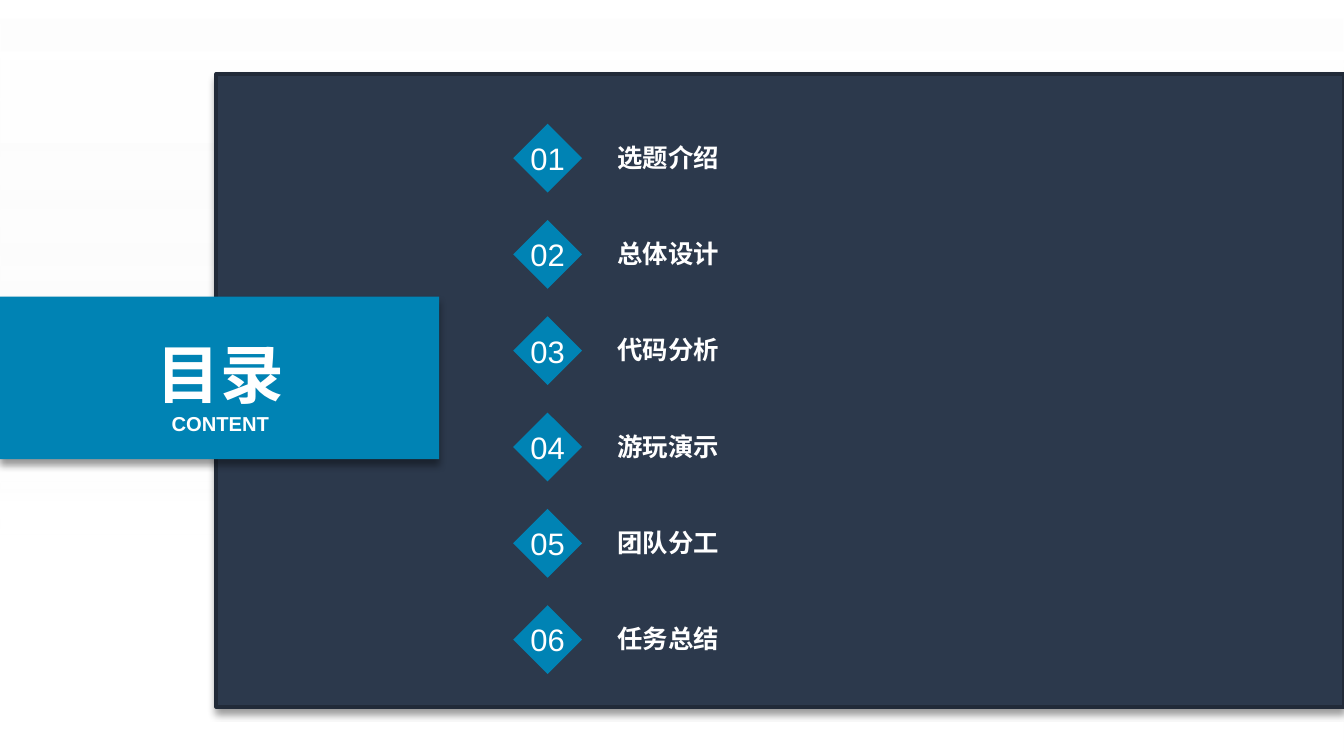
from dataclasses import dataclass

from lxml import etree
from pptx import Presentation
from pptx.dml.color import RGBColor
from pptx.enum.shapes import MSO_SHAPE
from pptx.enum.text import MSO_ANCHOR, PP_ALIGN
from pptx.oxml.ns import qn
from pptx.util import Cm, Pt

RECT, DIAMOND = MSO_SHAPE.RECTANGLE, MSO_SHAPE.DIAMOND
TOP, MIDDLE, BOTTOM = MSO_ANCHOR.TOP, MSO_ANCHOR.MIDDLE, MSO_ANCHOR.BOTTOM
LEFT, CENTER = PP_ALIGN.LEFT, PP_ALIGN.CENTER


@dataclass(frozen=True)
class Theme:
    font: str = "Arial"
    white: RGBColor = RGBColor(0xFF, 0xFF, 0xFF)
    haze: RGBColor = RGBColor(0xF2, 0xF2, 0xF2)
    panel: RGBColor = RGBColor(0x2C, 0x39, 0x4C)
    panel_line: RGBColor = RGBColor(0x21, 0x2A, 0x38)
    accent: RGBColor = RGBColor(0x00, 0x83, 0xB4)
    title: float = 34.1
    subtitle: float = 10.8
    number: float = 16.6
    label: float = 13.6


@dataclass(frozen=True)
class Box:
    """Position and size in centimetres."""
    left: float
    top: float
    width: float
    height: float

    def lengths(self):
        return Cm(self.left), Cm(self.top), Cm(self.width), Cm(self.height)


@dataclass(frozen=True)
class Topic:
    number: int
    label: str


THEME = Theme()
WIDTH, HEIGHT = 25.4, 14.29
TOPICS = [Topic(i, label) for i, label in enumerate(
    ("选题介绍", "总体设计", "代码分析", "游玩演示", "团队分工", "任务总结"), 1)]
FIRST_TOP, ROW_PITCH = 2.34, 1.82


def add_block(shapes, kind, box: Box, color: RGBColor):
    sp = shapes.add_shape(kind, *box.lengths())
    sp.shadow.inherit = False
    sp.fill.solid()
    sp.fill.fore_color.rgb = color
    sp.line.fill.background()
    return sp


def add_alpha(color_element, percent: int) -> None:
    etree.SubElement(color_element, qn("a:alpha"), val=str(percent * 1000))


def add_drop_shadow(sp) -> None:
    effects = sp._element.spPr.find(qn("a:effectLst"))
    shadow = etree.SubElement(
        effects, qn("a:outerShdw"), blurRad=str(Pt(4)), dist=str(Pt(3)),
        dir="5400000", algn="t", rotWithShape="0")
    add_alpha(etree.SubElement(shadow, qn("a:srgbClr"), val="000000"), 40)


def write(sp, text: str, size: float, bold: bool = False, align=CENTER,
          anchor=TOP, wrap: bool = True) -> None:
    tf = sp.text_frame
    tf.word_wrap = wrap
    tf.vertical_anchor = anchor
    p = tf.paragraphs[0]
    p.alignment = align
    r = p.add_run()
    r.text = text
    r.font.name = THEME.font
    r.font.size = Pt(size)
    r.font.bold = bold
    r.font.color.rgb = THEME.white


def set_insets(sp, left: float = 0) -> None:
    tf = sp.text_frame
    tf.margin_left = Cm(left)
    tf.margin_top = tf.margin_right = tf.margin_bottom = 0


def add_backdrop(shapes) -> None:
    sp = add_block(shapes, RECT, Box(0, 0, WIDTH, HEIGHT), THEME.white)
    sp.fill.gradient()
    sp.fill.gradient_angle = 270
    stops = ((0, THEME.white, 55), (0.71, THEME.haze, 0))
    for stop, (position, color, _) in zip(sp.fill.gradient_stops, stops):
        stop.position = position
        stop.color.rgb = color
    colors = sp._element.spPr.iter(qn("a:srgbClr"))
    for color_element, (_, _, opacity) in zip(colors, stops):
        add_alpha(color_element, opacity)


def add_panel(shapes) -> None:
    sp = add_block(shapes, RECT, Box(4.09, 1.4, 21.31, 11.96), THEME.panel)
    sp.line.color.rgb = THEME.panel_line
    sp.line.width = Pt(2)
    add_drop_shadow(sp)


def add_topic(shapes, topic: Topic) -> None:
    group = shapes.add_group_shape().shapes
    top = FIRST_TOP + (topic.number - 1) * ROW_PITCH
    diamond = add_block(group, DIAMOND, Box(9.7, top, 1.3, 1.3), THEME.accent)
    set_insets(diamond)
    write(diamond, f"{topic.number:02}", THEME.number, anchor=MIDDLE, wrap=False)
    label = group.add_textbox(*Box(10.67, top + 0.41, 8.26, 0.51).lengths())
    set_insets(label, left=1)
    write(label, topic.label, THEME.label, bold=True, align=LEFT,
          anchor=BOTTOM, wrap=False)


def add_heading(shapes) -> None:
    group = shapes.add_group_shape().shapes
    band = add_block(group, RECT, Box(0, 5.61, 8.3, 3.07), THEME.accent)
    add_drop_shadow(band)
    for text, size, top, height in (("目录", THEME.title, 6.2, 1.6),
                                    ("CONTENT", THEME.subtitle, 7.65, 0.64)):
        tb = group.add_textbox(*Box(2.69, top, 2.95, height).lengths())
        write(tb, text, size, bold=True)


def main() -> None:
    prs = Presentation()
    prs.slide_width, prs.slide_height = Cm(WIDTH), Cm(HEIGHT)
    s = prs.slides.add_slide(prs.slide_layouts[6])
    add_backdrop(s.shapes)
    add_panel(s.shapes)
    for topic in TOPICS:
        add_topic(s.shapes, topic)
    add_heading(s.shapes)
    prs.save("out.pptx")


if __name__ == "__main__":
    main()
